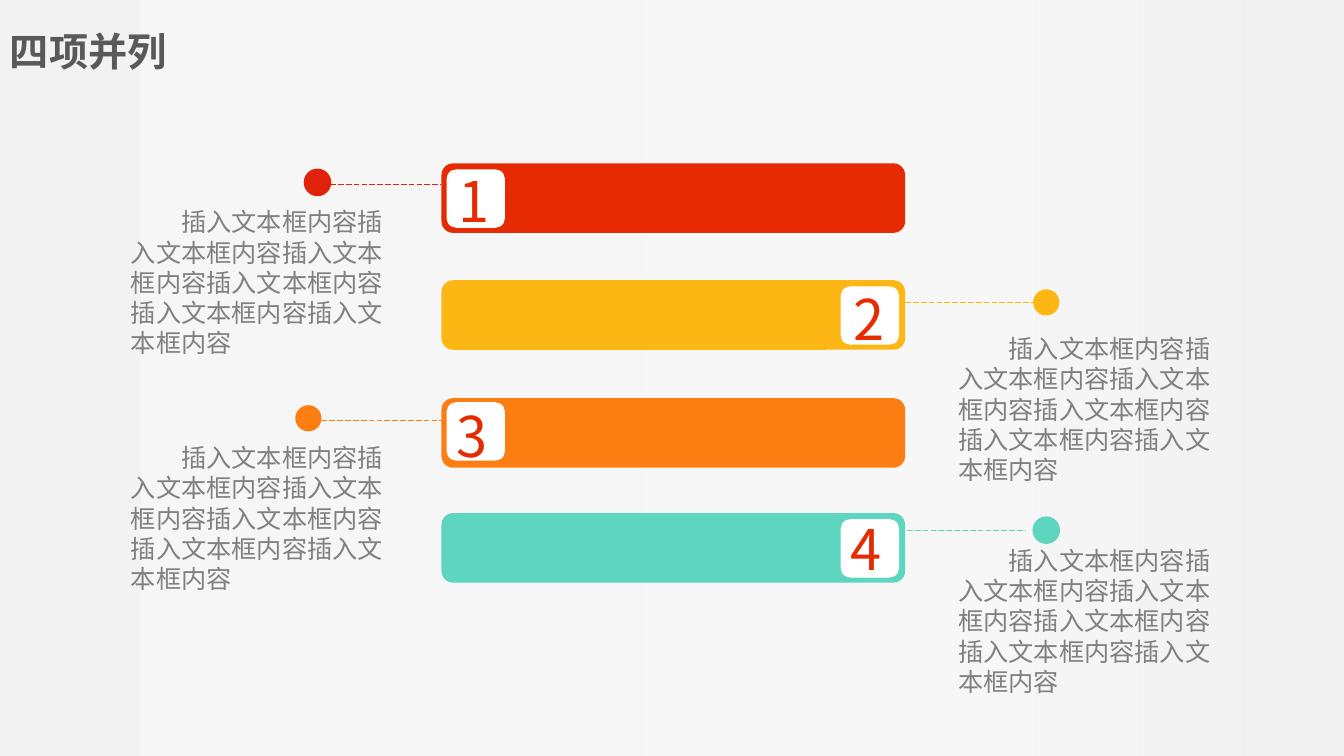
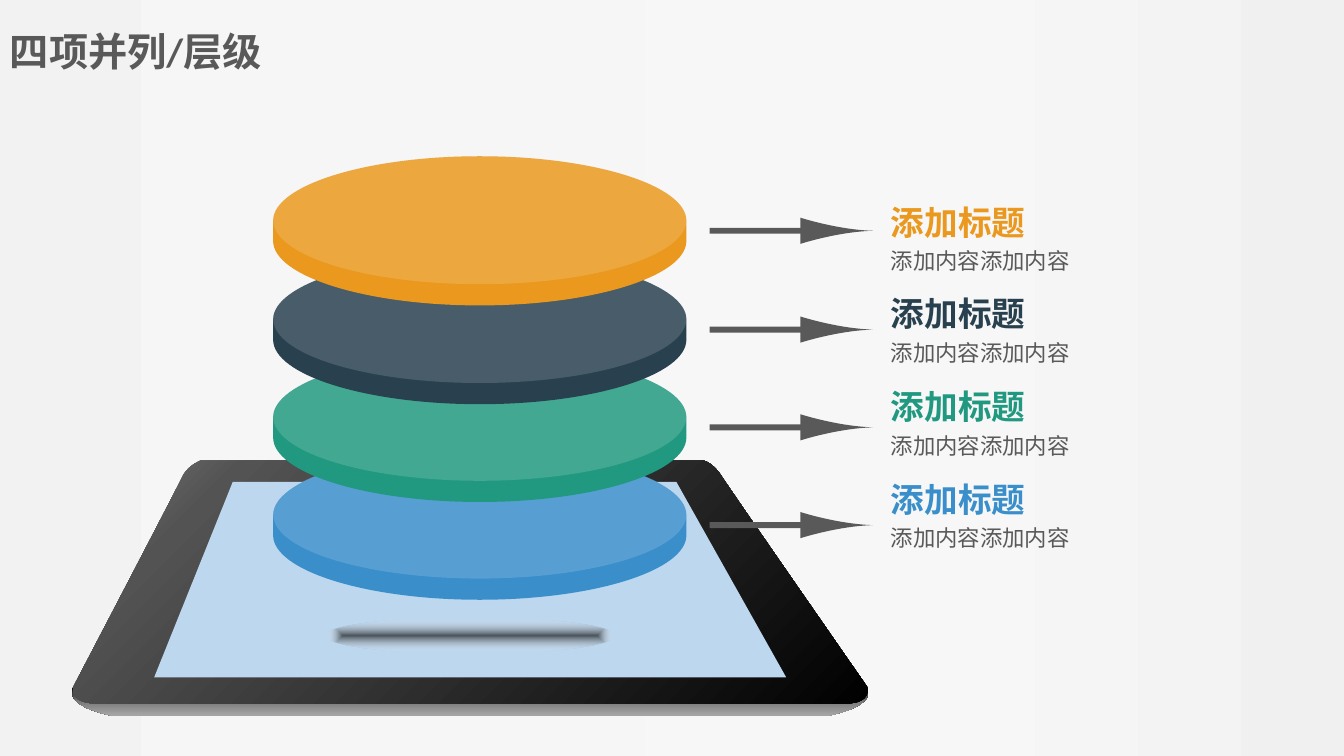
from typing import NamedTuple

from lxml import etree
from pptx import Presentation
from pptx import util as u
from pptx.dml.color import RGBColor
from pptx.enum import dml, shapes
from pptx.oxml.ns import qn

PX = 9144  # EMU in one px, 100 px to the inch

RED = RGBColor(0xE6, 0x2B, 0x02)
DARK_RED = RGBColor(0xDF, 0x22, 0x09)
YELLOW = RGBColor(0xFC, 0xB7, 0x14)
ORANGE = RGBColor(0xFC, 0x7E, 0x13)
MINT = RGBColor(0x5E, 0xD5, 0xBF)
AMBER = RGBColor(0xEA, 0x98, 0x1E)
NAVY = RGBColor(0x29, 0x41, 0x4F)
GREEN = RGBColor(0x21, 0x99, 0x80)
BLUE = RGBColor(0x3A, 0x8F, 0xCB)
PALE_BLUE = RGBColor(0xBD, 0xD7, 0xEE)
WHITE = RGBColor(0xFF, 0xFF, 0xFF)
GREY = RGBColor(0x80, 0x80, 0x80)
DARK_GREY = RGBColor(0x59, 0x59, 0x59)

LATIN_FONT = "Calibri"
CJK_FONT = "Noto Sans CJK SC"
LINE_HEIGHT = 1.2  # line pitch relative to the text size

ROUNDED = shapes.MSO_SHAPE.FLOWCHART_ALTERNATE_PROCESS
OVAL = shapes.MSO_SHAPE.OVAL
RECTANGLE = shapes.MSO_SHAPE.RECTANGLE

# Gradient stops: position %, colour, opacity %
BACKDROP = [(0, "F2F2F2", 100), (21, "F6F6F6", 100), (48, "F7F7F7", 100),
            (77, "F5F5F5", 100), (100, "F0F0F0", 100)]
TABLET_EDGE = [(0, "000000", 100), (51, "7A7A7A", 100), (100, "A6A6A6", 100)]
TABLET_FACE = [(0, "7A7A7A", 100), (17, "535353", 100), (100, "000000", 100)]
SOFT_SHADOW = [(0, "0D0D0D", 65), (90, "FFFFFF", 0)]


class Bar(NamedTuple):
    colour: RGBColor
    top: int
    badge: tuple
    digit: tuple
    dot: tuple
    dot_colour: RGBColor
    dot_outlined: bool
    leader: tuple  # left, right, y
    body: tuple


BARS = [
    Bar(RED, 162, (443, 168), (445, 160), (302, 168), DARK_RED, True,
        (312, 438, 183), (120, 200)),
    Bar(YELLOW, 278, (834, 284), (837, 277), (1025, 287), YELLOW, False,
        (898, 1025, 300), (941, 326)),
    Bar(ORANGE, 395, (443, 399), (443, 393), (293, 402), ORANGE, False,
        (319, 438, 417), (120, 434)),
    Bar(MINT, 509, (834, 515), (834, 506), (1025, 513), MINT, True,
        (892, 1018, 526), (941, 536)),
]
# Colour, disc top, label top
LEVELS = [(AMBER, 155, 187), (NAVY, 253, 278), (GREEN, 350, 370), (BLUE, 447, 462)]

# Tablet outlines: a start point, then lines (x, y) or curves (two handles, end)
EDGE_PATH = [(860, 681), (860, 681, 867, 698, 837, 698), (97, 698),
             (67, 698, 73, 681, 73, 681), (73, 681, 59, 699, 111, 710),
             (822, 710), (874, 699, 860, 681, 860, 681)]
FACE_PATH = [(860, 681), (860, 681, 721, 481, 715, 471),
             (706, 458, 698, 457, 698, 457), (199, 457),
             (199, 457, 188, 461, 182, 471), (177, 482, 73, 681, 73, 681),
             (73, 681, 67, 698, 97, 698), (837, 698),
             (867, 698, 860, 681, 860, 681)]
SCREEN_PATH = [(231, 478), (671, 478), (780, 672), (153, 672)]


# Fills and outlines

def set_gradient(owner, fill, stops, angle=None):
    """Linear at an angle, or following the shape when there is none."""
    fill.gradient()
    gradient = next(owner.element.iter(qn("a:gradFill")))
    for part in list(gradient):
        gradient.remove(part)
    stop_list = etree.SubElement(gradient, qn("a:gsLst"))
    for position, colour, opacity in stops:
        stop = etree.SubElement(stop_list, qn("a:gs"), pos=str(position * 1000))
        tint = etree.SubElement(stop, qn("a:srgbClr"), val=colour)
        if opacity < 100:
            etree.SubElement(tint, qn("a:alpha"), val=str(opacity * 1000))
    if angle is None:
        spread = etree.SubElement(gradient, qn("a:path"))
        spread.set("path", "shape")
        etree.SubElement(spread, qn("a:fillToRect"),
                         l="50000", t="50000", r="50000", b="50000")
    else:
        etree.SubElement(gradient, qn("a:lin"), ang=str(angle * 60000), scaled="0")


def finish(shape, colour):
    shape.shadow.inherit = False
    shape.line.fill.background()
    if colour is not None:
        shape.fill.solid()
        shape.fill.fore_color.rgb = colour
    return shape


def add_preset(parent, kind, left, top, width, height, colour=None):
    shape = parent.shapes.add_shape(kind, left * PX, top * PX, width * PX, height * PX)
    return finish(shape, colour)


def add_outline(parent, segments, colour=None):
    """Draw through every handle, then turn each three handles into a curve."""
    points = [(segment[i] * PX, segment[i + 1] * PX)
              for segment in segments for i in range(0, len(segment), 2)]
    builder = parent.shapes.build_freeform(*points[0])
    builder.add_line_segments(points[1:], close=True)
    shape = builder.convert_to_shape()
    strokes = iter(list(shape.element.iter(qn("a:lnTo"))))
    for segment in segments[1:]:
        stroke = next(strokes)
        if len(segment) == 6:
            curve = etree.Element(qn("a:cubicBezTo"))
            stroke.addprevious(curve)
            for handle in (stroke, next(strokes), next(strokes)):
                curve.append(handle[0])
                handle.getparent().remove(handle)
    return finish(shape, colour)


# Text

def add_text(slide, left, top, width, height):
    frame = slide.shapes.add_textbox(left * PX, top * PX, width * PX,
                                     height * PX).text_frame
    frame.word_wrap = True
    return frame


def add_run(paragraph, words, size, colour, bold=False, latin=LATIN_FONT, spacing=1):
    paragraph.line_spacing = u.Pt(round(size * LINE_HEIGHT * spacing, 1))
    run = paragraph.add_run()
    run.text = words
    run.font.size = u.Pt(size)
    run.font.bold = bold
    run.font.color.rgb = colour
    run.font.name = latin
    etree.SubElement(run.font._element, qn("a:ea"), typeface=CJK_FONT)


def add_title(slide, words, width):
    frame = add_text(slide, 0, 22, width, 57)
    add_run(frame.paragraphs[0], words, 28, DARK_GREY, bold=True)


# Four numbered bars

def add_leader(slide, bar):
    left, right, y = bar.leader
    leader = slide.shapes.add_connector(shapes.MSO_CONNECTOR.STRAIGHT,
                                        left * PX, y * PX, right * PX, y * PX)
    leader.line.color.rgb = bar.dot_colour
    leader.line.width = u.Pt(0.5)
    leader.line.dash_style = dml.MSO_LINE.LONG_DASH
    etree.SubElement(leader.element.spPr, qn("a:effectLst"))
    dot = add_preset(slide, OVAL, *bar.dot, 26, 26, bar.dot_colour)
    if bar.dot_outlined:
        dot.line.color.rgb = bar.dot_colour
        dot.line.width = u.Pt(1)


def add_bar(slide, number, bar):
    add_preset(slide, ROUNDED, 438, bar.top, 460, 69, bar.colour)
    add_preset(slide, ROUNDED, *bar.badge, 58, 58, WHITE)
    digit = add_text(slide, *bar.digit, 75, 77)
    add_run(digit.paragraphs[0], str(number), 40, RED, latin=CJK_FONT)
    body = add_text(slide, *bar.body, 276, 162).paragraphs[0]
    body._p.get_or_add_pPr().set("indent", str(50 * PX))
    add_run(body, "插入文本框内容" * 6, 18, GREY, latin=CJK_FONT)
    add_leader(slide, bar)


def build_bars(slide):
    for number, bar in enumerate(BARS, start=1):
        add_bar(slide, number, bar)
    add_title(slide, "四项并列", 177)


# Four stacked discs above a tablet

def add_tablet(slide):
    tablet = slide.shapes.add_group_shape()
    edge = add_outline(tablet, EDGE_PATH)
    set_gradient(edge, edge.fill, TABLET_EDGE, 90)
    face = add_outline(tablet, FACE_PATH)
    set_gradient(face, face.fill, TABLET_FACE, 45)
    add_outline(tablet, SCREEN_PATH, PALE_BLUE)
    shadow = add_preset(slide, OVAL, 323, 613, 287, 35)
    set_gradient(shadow, shadow.fill, SOFT_SHADOW)


def add_disc(stack, colour, top):
    left, centre, right = 271, 476, 681
    upper, lower, bottom = top + 64, top + 84, top + 148
    body = [(left, upper),
            (left, top + 29, 363, top, centre, top),
            (589, top, right, top + 29, right, upper),
            (right, lower),
            (right, lower + 35, 589, bottom, centre, bottom),
            (363, bottom, left, lower + 35, left, lower)]
    add_outline(stack, body, colour)
    lid = add_preset(stack, OVAL, left, top, right - left, 127, WHITE)
    tint = next(lid.element.spPr.iter(qn("a:srgbClr")))
    etree.SubElement(tint, qn("a:alpha"), val="15000")


def add_arrow(stack, y):
    head = [(866, y), (831, y + 1, 794, y + 13, 794, y + 13),
            (794, y - 13), (794, y - 13, 831, y - 1, 866, y)]
    add_outline(stack, head, DARK_GREY)
    add_preset(stack, RECTANGLE, 704, y - 3, 100, 6, DARK_GREY)


def add_label(slide, colour, top):
    frame = add_text(slide, 874, top, 312, 91)
    add_run(frame.paragraphs[0], "添加标题", 24, colour, bold=True, spacing=1.2)
    add_run(frame.add_paragraph(), "添加内容添加内容", 16, DARK_GREY, spacing=1.2)


def build_levels(slide):
    add_tablet(slide)
    add_title(slide, "四项并列/层级", 273)
    stack = slide.shapes.add_group_shape()
    for colour, disc_top, _ in reversed(LEVELS):
        add_disc(stack, colour, disc_top)
    for colour, disc_top, label_top in LEVELS:
        add_arrow(stack, disc_top + 74)
        add_label(slide, colour, label_top)


def main():
    deck = Presentation()
    deck.slide_width, deck.slide_height = 4000 * PX // 3, 750 * PX  # 16:9
    master = deck.slide_master
    set_gradient(master, master.background.fill, BACKDROP, 0)
    for build in (build_bars, build_levels):
        build(deck.slides.add_slide(deck.slide_layouts[6]))
    deck.save("out.pptx")


if __name__ == "__main__":
    main()
